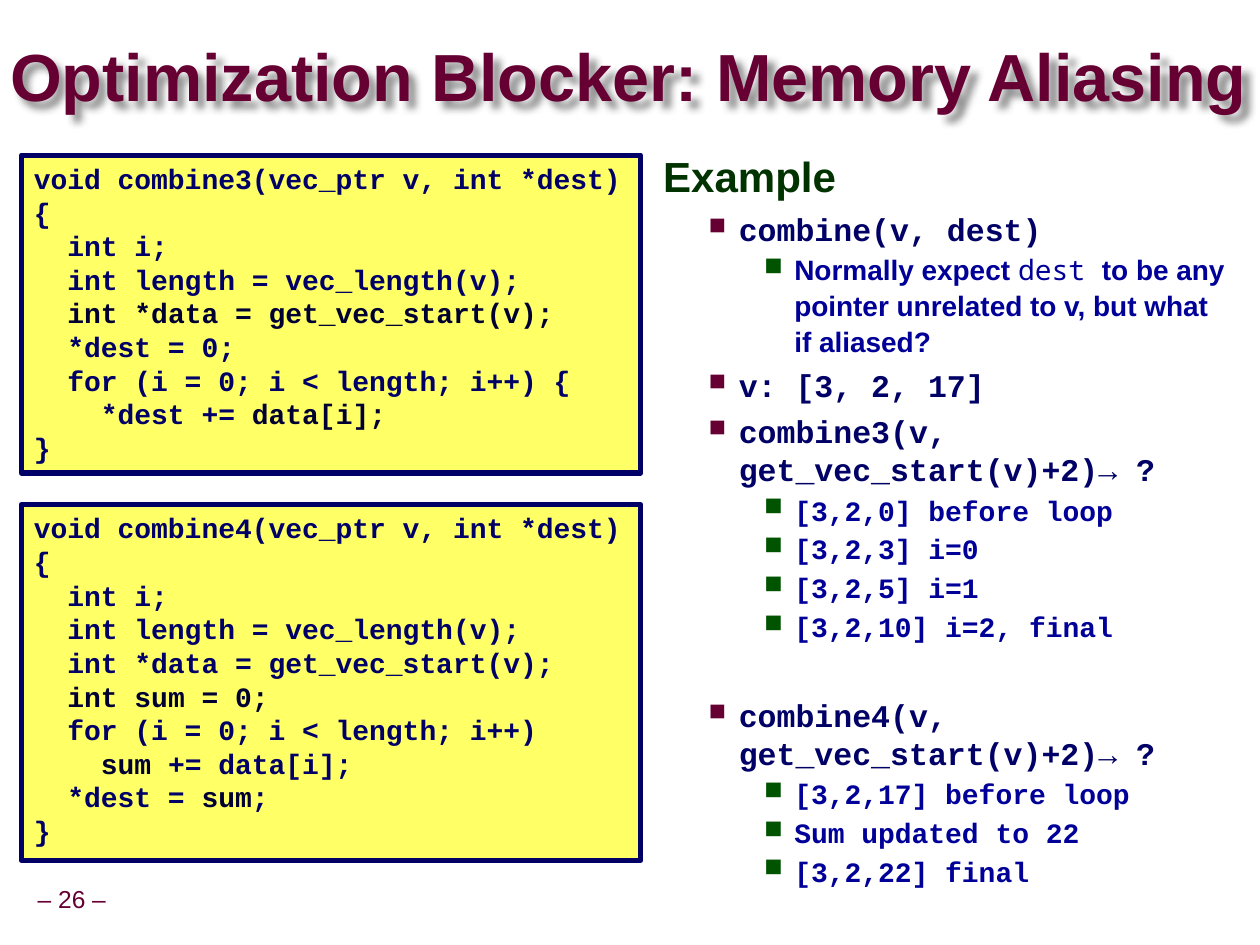
from dataclasses import dataclass

from lxml import etree
from pptx import Presentation
from pptx.dml.color import RGBColor
from pptx.enum.shapes import MSO_SHAPE
from pptx.enum.text import MSO_ANCHOR, PP_ALIGN
from pptx.oxml.ns import qn
from pptx.util import Pt

RECTANGLE = MSO_SHAPE.RECTANGLE
TOP, MIDDLE = MSO_ANCHOR.TOP, MSO_ANCHOR.MIDDLE
LEFT, CENTER = PP_ALIGN.LEFT, PP_ALIGN.CENTER
EMU_PER_PX = 9144
SANS, CODE, MONO = "Arial", "Courier New", "Noto Sans Mono"
MAROON, NAVY, INK, BLUE = "660033", "000066", "000033", "000099"
GREEN, BULLET_GREEN, YELLOW = "003300", "005400", "FFFF66"


@dataclass(frozen=True)
class Level:
    size: int
    color: str
    indent: int
    hang: int
    spacing: float | Pt
    before: float
    bullet_color: str = ""
    bullet_percent: int = 0


@dataclass(frozen=True)
class Item:
    level: Level
    spans: tuple[tuple[str, str], ...]
    before: float | None = None


@dataclass(frozen=True)
class Listing:
    top: int
    height: int
    code: str


HEADING = Level(24, GREEN, 24, -24, 0.95, 0)
CALL = Level(18, NAVY, 60, -24, Pt(21.7), 4.5, MAROON, 75)
DETAIL = Level(16, BLUE, 104, -24, Pt(20.5), 1.6, BULLET_GREEN, 90)

ITEMS = (
    Item(HEADING, (("Example", SANS),)),
    Item(CALL, (("combine(v, dest)", CODE),)),
    Item(DETAIL, (("Normally expect ", SANS), ("dest ", MONO),
                  ("to be any pointer unrelated to v, but what if aliased?", SANS))),
    Item(CALL, (("v: [3, 2, 17]", CODE),)),
    Item(CALL, (("combine3(v, get_vec_start(v)+2)→ ?", CODE),)),
    Item(DETAIL, (("[3,2,0] before loop", CODE),)),
    Item(DETAIL, (("[3,2,3] i=0", CODE),)),
    Item(DETAIL, (("[3,2,5] i=1", CODE),)),
    Item(DETAIL, (("[3,2,10] i=2, final", CODE),)),
    Item(CALL, (("combine4(v, get_vec_start(v)+2)→ ?", CODE),), before=30),
    Item(DETAIL, (("[3,2,17] before loop", CODE),)),
    Item(DETAIL, (("Sum updated to 22", CODE),)),
    Item(DETAIL, (("[3,2,22] final", CODE),)),
)

LISTINGS = (
    Listing(123, 252, """void combine3(vec_ptr v, int *dest)
{
  int i;
  int length = vec_length(v);
  |int *data = get_vec_start(v);|
  *dest = 0;
  for (i = 0; i < length; i++) {
    *dest += |data[i];|
}"""),
    Listing(400, 282, """void combine4(vec_ptr v, int *dest)
{
  int i;
  int length = vec_length(v);
  int *data = get_vec_start(v);
  |int sum = 0;|
  for (i = 0; i < length; i++)
    |sum |+= data[i];
  *dest = |sum|;
}"""),
)


def px(value: int) -> int:
    """Turn px into EMU."""
    return value * EMU_PER_PX


def rgb(color: str) -> RGBColor:
    """Turn a hex string into a colour."""
    return RGBColor.from_string(color)


def add_span(para, text: str, *, font: str, size: int, color: str, bold: bool = True) -> None:
    """Add formatted text to a paragraph."""
    span = para.add_run()
    span.text = text
    span.font.name = font
    span.font.size = Pt(size)
    span.font.bold = bold
    span.font.color.rgb = rgb(color)


def set_frame(box, *, anchor=TOP, wrap: bool = True, side: int = 10, edge: int = 5):
    """Set the anchor, wrapping and margins of a box and return its frame."""
    frame = box.text_frame
    frame.word_wrap = wrap
    frame.vertical_anchor = anchor
    frame.margin_left = frame.margin_right = px(side)
    frame.margin_top = frame.margin_bottom = px(edge)
    return frame


def add_box(page, left: int, top: int, width: int, height: int):
    """Add a text box placed in px."""
    return page.shapes.add_textbox(px(left), px(top), px(width), px(height))


def next_para(frame, index: int):
    """Return the first paragraph of a frame or a new one."""
    return frame.add_paragraph() if index else frame.paragraphs[0]


def add_shadow(box) -> None:
    """Give an unfilled box a soft shadow that its text casts."""
    effects = etree.SubElement(box._element.spPr, qn("a:effectLst"))
    shadow = etree.SubElement(effects, qn("a:outerShdw"), blurRad="50800", dist="63500",
                              dir="2700000", algn="tl", rotWithShape="0")
    color = etree.SubElement(shadow, qn("a:srgbClr"), val="000000")
    etree.SubElement(color, qn("a:alpha"), val="43000")


def set_level(para, level: Level) -> None:
    """Set the indent and bullet of a paragraph."""
    properties = para._p.get_or_add_pPr()
    properties.set("marL", str(px(level.indent)))
    properties.set("indent", str(px(level.hang)))
    if level.bullet_color:
        color = etree.SubElement(properties, qn("a:buClr"))
        etree.SubElement(color, qn("a:srgbClr"), val=level.bullet_color)
        etree.SubElement(properties, qn("a:buSzPct"), val=str(level.bullet_percent * 1000))
        etree.SubElement(properties, qn("a:buChar"), char="■")
    para.line_spacing = level.spacing


def add_title(page) -> None:
    """Draw the slide title."""
    box = add_box(page, 8, 33, 999, 62)
    para = set_frame(box, anchor=MIDDLE, side=0, edge=0).paragraphs[0]
    para.alignment = LEFT
    para.line_spacing = 0.87
    add_span(para, "Optimization Blocker: Memory Aliasing", font=SANS, size=38, color=MAROON)
    add_shadow(box)


def add_listing(page, listing: Listing) -> None:
    """Draw a code panel, with the text between bars in a darker ink."""
    box = page.shapes.add_shape(RECTANGLE, px(17), px(listing.top), px(491), px(listing.height))
    box.shadow.inherit = False
    box.fill.solid()
    box.fill.fore_color.rgb = rgb(YELLOW)
    box.line.color.rgb = rgb(NAVY)
    box.line.width = Pt(3)
    frame = set_frame(box)
    for index, line in enumerate(listing.code.splitlines()):
        para = next_para(frame, index)
        para.alignment = LEFT
        para.line_spacing = Pt(19.2)
        for position, text in enumerate(line.split("|")):
            if text:
                add_span(para, text, font=CODE, size=16, color=INK if position % 2 else NAVY)


def add_example(page) -> None:
    """Draw the bulleted example."""
    frame = set_frame(add_box(page, 516, 117, 466, 587))
    for index, item in enumerate(ITEMS):
        para = next_para(frame, index)
        set_level(para, item.level)
        if index:
            para.space_before = Pt(item.level.before if item.before is None else item.before)
        for text, font in item.spans:
            add_span(para, text, font=font, size=item.level.size,
                     color=item.level.color, bold=font != MONO)


def add_page_number(page) -> None:
    """Draw the page number."""
    box = add_box(page, 23, 698, 68, 32)
    para = set_frame(box, anchor=MIDDLE, wrap=False, side=5).paragraphs[0]
    para.alignment = CENTER
    para.line_spacing = 0.9
    add_span(para, "– 26 –", font=SANS, size=14, color=MAROON, bold=False)


def main() -> None:
    """Build the slide and save the deck."""
    deck = Presentation()
    deck.slide_width, deck.slide_height = px(999), px(749)
    page = deck.slides.add_slide(deck.slide_layouts[6])
    add_page_number(page)
    add_title(page)
    add_example(page)
    for listing in LISTINGS:
        add_listing(page, listing)
    deck.save("out.pptx")


if __name__ == "__main__":
    main()
